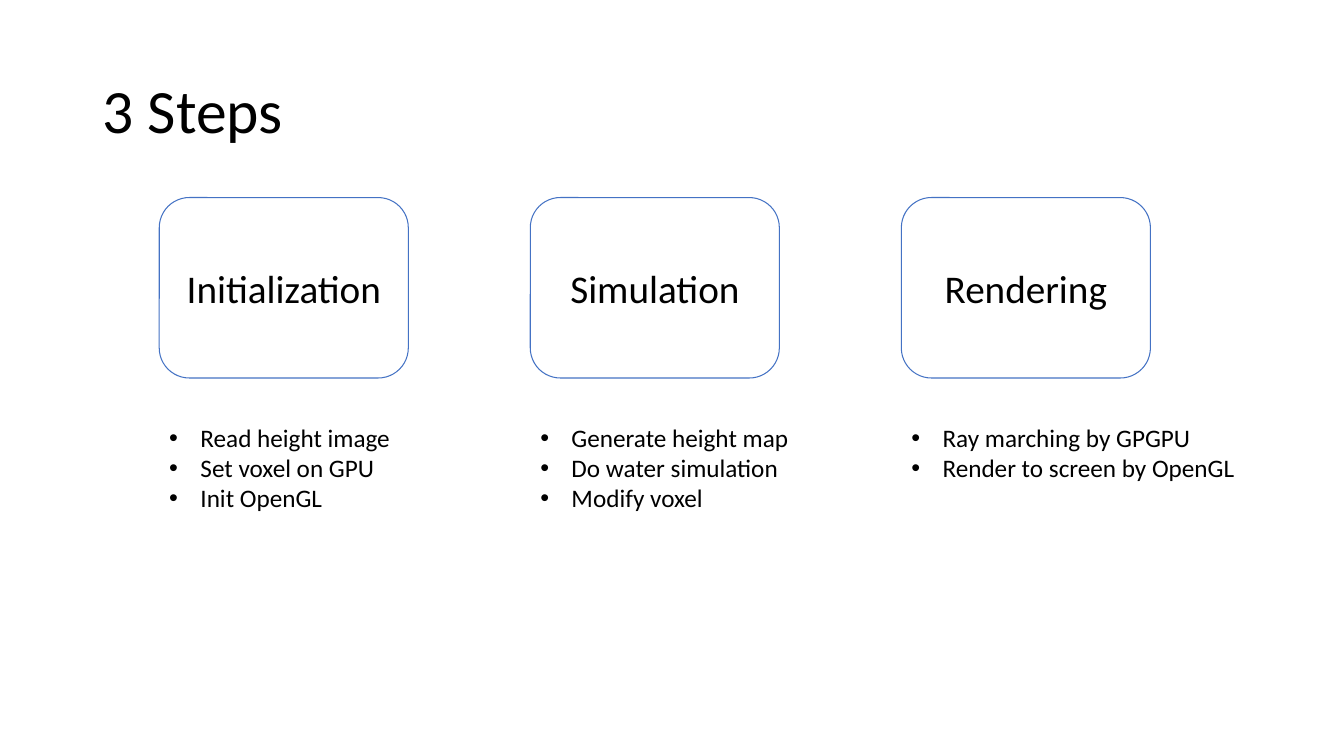
"""Build the "3 Steps" slide: three stages, each with its list of tasks."""
import pptx
import pptx.util
import pptx.dml.color
import pptx.enum.shapes
import pptx.enum.text
import lxml.etree
import pptx.oxml.ns

Inches = pptx.util.Inches
BLACK = pptx.dml.color.RGBColor(0x00, 0x00, 0x00)
BLUE = pptx.dml.color.RGBColor(0x44, 0x72, 0xC4)
FIRST_LEFT, STEP_PITCH = 1.58, 3.68
STEP_TOP, STEP_WIDTH, STEP_HEIGHT = 1.96, 2.47, 1.79

STEPS = [
    ("Initialization", 2.21, 2.42,
     ["Read height image", "Set voxel on GPU", "Init OpenGL"]),
    ("Simulation", 2.21, 2.69,
     ["Generate height map", "Do water simulation", "Modify voxel"]),
    ("Rendering", 1.93, 3.45,
     ["Ray marching by GPGPU", "Render to screen by OpenGL"]),
]


def add_text(left, top, width, height, lines, size, wrap=True):
    """Add a text box with one paragraph per line and return its frame."""
    frame = slide.shapes.add_textbox(
        Inches(left), Inches(top), Inches(width), Inches(height)).text_frame
    frame.word_wrap = wrap
    for index, line in enumerate(lines):
        paragraph = frame.add_paragraph() if index else frame.paragraphs[0]
        run = paragraph.add_run()
        run.text = line
        run.font.name = "Calibri"
        run.font.size = pptx.util.Pt(size)
        run.font.color.rgb = BLACK
    return frame


def add_bullet(paragraph):
    """Give a paragraph a round bullet with a hanging indent."""
    properties = paragraph._p.get_or_add_pPr()
    properties.set("marL", str(Inches(0.31)))
    properties.set("indent", str(-Inches(0.31)))
    font = lxml.etree.SubElement(properties, pptx.oxml.ns.qn("a:buFont"))
    font.set("typeface", "Arial")
    bullet = lxml.etree.SubElement(properties, pptx.oxml.ns.qn("a:buChar"))
    bullet.set("char", "•")


presentation = pptx.Presentation()
presentation.slide_width = Inches(13.33)
presentation.slide_height = Inches(7.5)
slide = presentation.slides.add_slide(presentation.slide_layouts[6])

title = add_text(0.92, 0.4, 11.5, 1.45, ["3 Steps"], 44)
title.vertical_anchor = pptx.enum.text.MSO_ANCHOR.MIDDLE
title.paragraphs[0].line_spacing = 0.9

for column, (step, label_width, tasks_width, tasks) in enumerate(STEPS):
    left = FIRST_LEFT + column * STEP_PITCH
    box = slide.shapes.add_shape(
        pptx.enum.shapes.MSO_SHAPE.ROUNDED_RECTANGLE, Inches(left),
        Inches(STEP_TOP), Inches(STEP_WIDTH), Inches(STEP_HEIGHT))
    box.shadow.inherit = False
    box.fill.background()
    box.line.color.rgb = BLUE
    box.line.width = pptx.util.Pt(0.75)

    label_left = left + (STEP_WIDTH - label_width) / 2
    label = add_text(label_left, 2.57, label_width, 0.57, [step], 28)
    label.auto_size = pptx.enum.text.MSO_AUTO_SIZE.SHAPE_TO_FIT_TEXT
    label.paragraphs[0].alignment = pptx.enum.text.PP_ALIGN.CENTER

    task_list = add_text(left, 4.14, tasks_width, 0.1 + 0.3 * len(tasks),
                         tasks, 18, wrap=False)
    task_list.auto_size = pptx.enum.text.MSO_AUTO_SIZE.SHAPE_TO_FIT_TEXT
    for paragraph in task_list.paragraphs:
        add_bullet(paragraph)

presentation.save("out.pptx")
